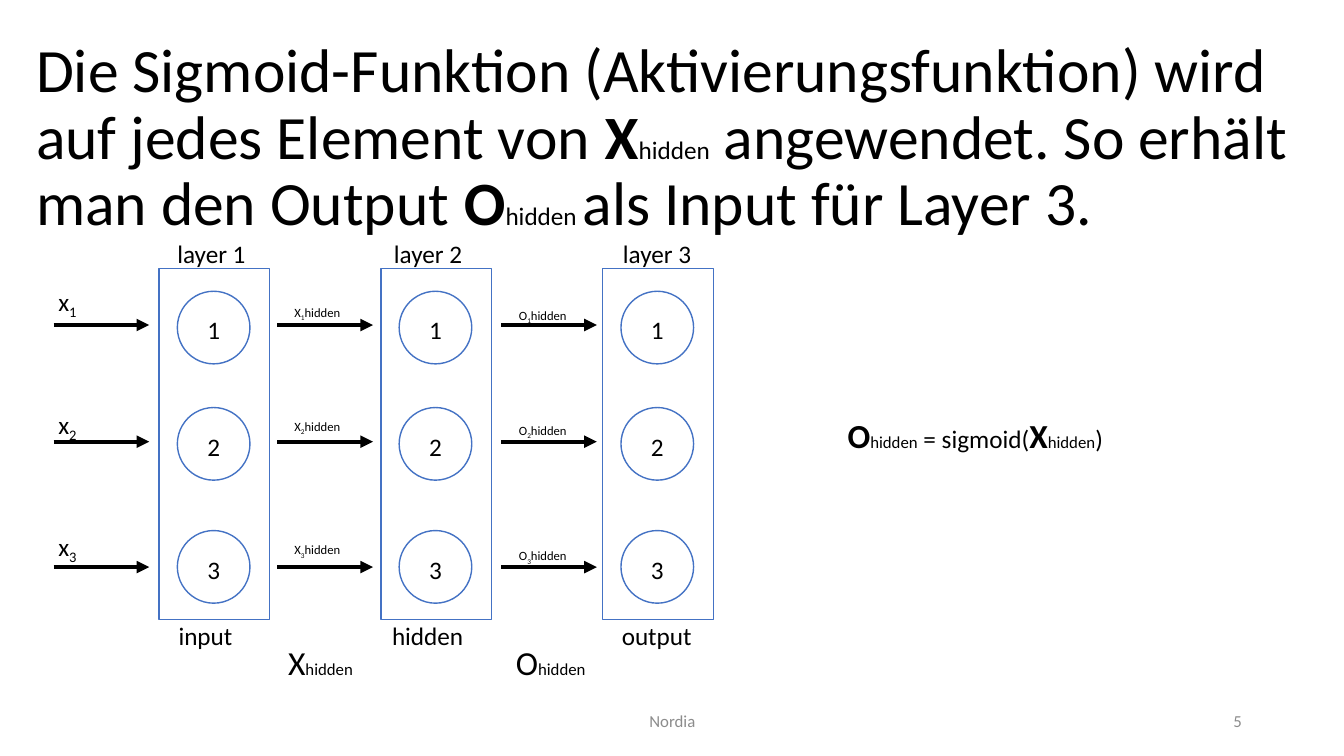
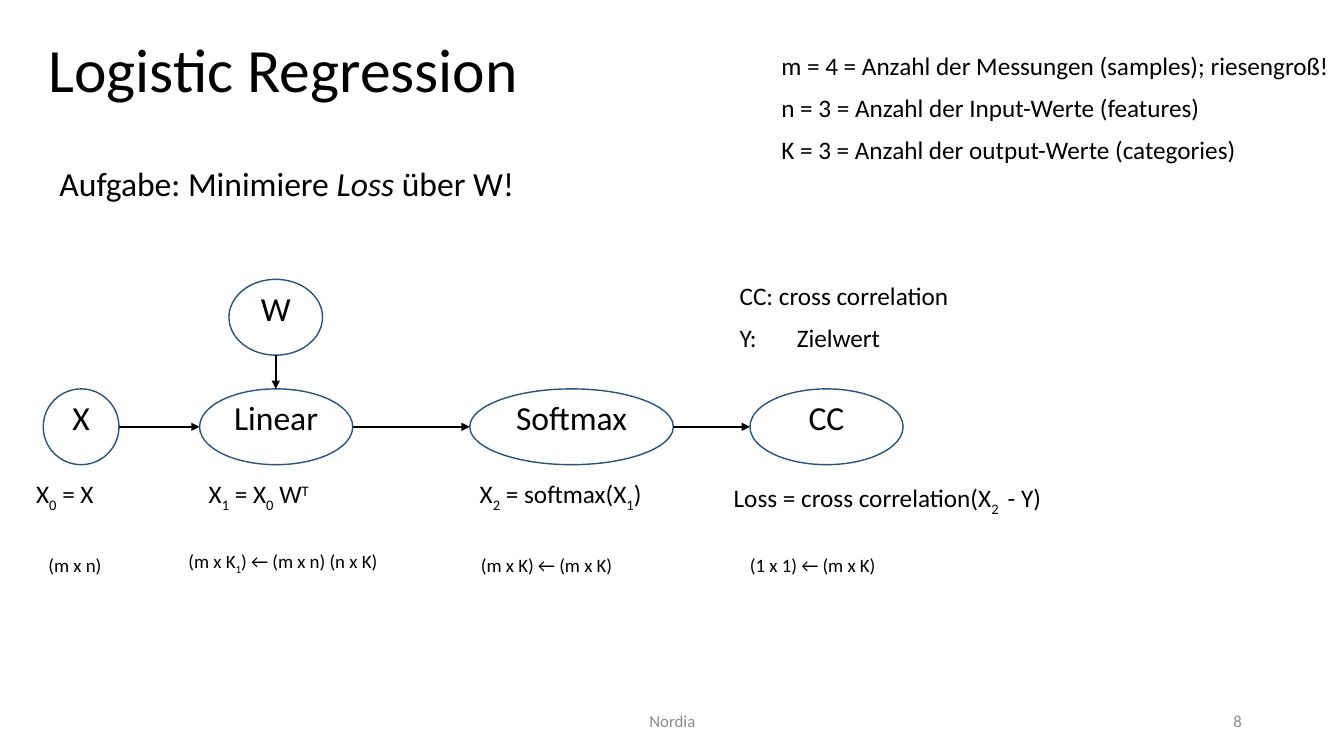
from dataclasses import dataclass
from typing import NamedTuple, Optional

from lxml.etree import SubElement
from pptx import Presentation
from pptx.dml.color import RGBColor
from pptx.enum.shapes import MSO_CONNECTOR_TYPE as Conn, MSO_SHAPE as Shp
from pptx.enum.text import MSO_ANCHOR as Anchor, MSO_AUTO_SIZE as Fit, PP_ALIGN as Align
from pptx.oxml.ns import qn
from pptx.util import Cm, Pt

FONT = "Calibri"
BLACK, GREY, WHITE = "000000", "8C8C8C", "FFFFFF"
BLUE, NAVY = "4472C4", "28537D"
FOOTER = "Nordia"


class Run(NamedTuple):
    text: str
    size: Optional[float] = None
    bold: bool = False
    italic: bool = False
    base: int = 0


Line = list[Run]


@dataclass
class Layer:
    name: str
    name_x: float
    role: str
    role_x: float


@dataclass
class Signal:
    symbol: str
    suffix: str
    size: float
    x: float
    tops: tuple[float, float, float]


@dataclass
class Node:
    name: str
    x: float
    width: float
    y: float = 9.8
    height: float = 1.91


@dataclass
class Note:
    x: float
    y: float
    width: float
    size: float
    lines: list[Line]


LAYERS = [
    Layer("layer 1", 4.47, "input", 4.5),
    Layer("layer 2", 9.93, "hidden", 9.88),
    Layer("layer 3", 15.7, "output", 15.67),
]
SIGNALS = [
    Signal("x", "", 18, 1.47, (7.34, 10.44, 13.51)),
    Signal("X", "hidden", 9, 7.42, (7.37, 10.24, 13.36)),
    Signal("O", "hidden", 9, 13.08, (7.44, 10.34, 13.51)),
]
NEURON_TOPS = (7.34, 10.27, 13.37)
ARROW_YS = (8.19, 11.13, 14.29)
LAYER_X, LAYER_STEP, LAYER_Y, LAYER_W, LAYER_H = 4.01, 5.59, 6.77, 2.79, 8.84
ARROW_X, ARROW_STEP, ARROW_LEN = 1.35, 5.64, 2.41
NEURON, NEURON_DX = 1.83, 0.46

CHAIN = [
    Node("X", 1.09, 1.91),
    Node("Linear", 5.03, 3.86),
    Node("Softmax", 11.84, 5.13),
    Node("CC", 18.9, 3.86),
]
WEIGHTS = Node("W", 5.77, 2.36, y=7.04)


def rgb(color: str) -> RGBColor:
    return RGBColor.from_string(color)


def sub(text: str) -> Run:
    return Run(text, base=-25000)


def add_runs(p, runs: Line, size: float, color: str = BLACK) -> None:
    for run in runs:
        r = p.add_run()
        r.text = run.text
        r.font.name = FONT
        r.font.size = Pt(run.size or size)
        r.font.bold = run.bold
        r.font.italic = run.italic
        r.font.color.rgb = rgb(color)
        if run.base:
            r._r.get_or_add_rPr().set("baseline", str(run.base))


def clear_insets(tf) -> None:
    tf.margin_left = tf.margin_right = tf.margin_top = tf.margin_bottom = 0
    tf.word_wrap = True


def add_text(s, x: float, y: float, width: float, lines: list[Line], size: float = 18):
    tf = s.shapes.add_textbox(Cm(x), Cm(y), Cm(width), Cm(0.75 * len(lines))).text_frame
    clear_insets(tf)
    for i, runs in enumerate(lines):
        p = tf.paragraphs[0] if i == 0 else tf.add_paragraph()
        p.line_spacing = Pt(21)
        p.space_after = Pt(9)
        add_runs(p, runs, size)
    return tf


def add_footer(s, x: float, width: float, text: str, align: Align) -> None:
    tf = s.shapes.add_textbox(Cm(x), Cm(17.65), Cm(width), Cm(1.02)).text_frame
    clear_insets(tf)
    tf.vertical_anchor = Anchor.MIDDLE
    p = tf.paragraphs[0]
    p.alignment = align
    add_runs(p, [Run(text)], 12, GREY)


def add_slide(prs, title: Line, title_x: float, number: int):
    s = prs.slides.add_slide(prs.slide_layouts[5])
    sp = s.shapes.title
    sp.left, sp.top, sp.width, sp.height = Cm(title_x), Cm(0.99), Cm(31.9), Cm(2.54)
    tf = sp.text_frame
    clear_insets(tf)
    tf.auto_size = Fit.NONE
    tf.vertical_anchor = Anchor.TOP
    p = tf.paragraphs[0]
    p.alignment = Align.LEFT
    p.line_spacing = 0.9
    add_runs(p, title, 44)
    add_footer(s, 11.23, 11.43, FOOTER, Align.CENTER)
    add_footer(s, 23.93, 7.37, str(number), Align.RIGHT)
    return s


def add_outline(s, kind: Shp, x: float, y: float, width: float, height: float, color: str):
    sp = s.shapes.add_shape(kind, Cm(x), Cm(y), Cm(width), Cm(height))
    sp.shadow.inherit = False
    sp.fill.background()
    sp.line.color.rgb = rgb(color)
    sp.line.width = Pt(1)
    return sp


def label_shape(sp, text: str, size: float, spacing: float):
    tf = sp.text_frame
    tf.vertical_anchor = Anchor.MIDDLE
    p = tf.paragraphs[0]
    p.alignment = Align.CENTER
    p.line_spacing = Pt(spacing)
    add_runs(p, [Run(text)], size)
    return tf


def add_arrow(s, x1: float, y1: float, x2: float, y2: float, weight: float) -> None:
    c = s.shapes.add_connector(Conn.STRAIGHT, Cm(x1), Cm(y1), Cm(x2), Cm(y2))
    c.line.color.rgb = rgb(BLACK)
    c.line.width = Pt(weight)
    sp_pr = c.element.spPr
    SubElement(sp_pr.find(qn("a:ln")), qn("a:tailEnd"), type="triangle")
    SubElement(sp_pr, qn("a:effectLst"))


def add_layer(s, index: int, layer: Layer) -> None:
    x = LAYER_X + index * LAYER_STEP
    add_outline(s, Shp.RECTANGLE, x, LAYER_Y, LAYER_W, LAYER_H, BLUE)
    for number, top in enumerate(NEURON_TOPS, 1):
        sp = add_outline(s, Shp.OVAL, x + NEURON_DX, top, NEURON, NEURON, BLUE)
        tf = label_shape(sp, str(number), 18, 21)
        clear_insets(tf)
        tf.margin_top = Cm(0.13)
    add_text(s, layer.name_x, 6.02, 2.3, [[Run(layer.name)]])
    add_text(s, layer.role_x, 15.65, 2.3, [[Run(layer.role)]])


def add_signal(s, index: int, signal: Signal) -> None:
    x = ARROW_X + index * ARROW_STEP
    for number, (y, top) in enumerate(zip(ARROW_YS, signal.tops), 1):
        add_arrow(s, x, y, x + ARROW_LEN, y, 3)
        runs = [Run(signal.symbol), sub(str(number))]
        if signal.suffix:
            runs.append(Run(signal.suffix))
        add_text(s, signal.x, top, 1.8, [runs], signal.size)


def add_node(s, node: Node) -> None:
    sp = add_outline(s, Shp.OVAL, node.x, node.y, node.width, node.height, NAVY)
    sp.fill.solid()
    sp.fill.fore_color.rgb = rgb(WHITE)
    label_shape(sp, node.name, 24, 15)


def build_sigmoid(prs) -> None:
    title = [
        Run("Die Sigmoid-Funktion (Aktivierungsfunktion) wird auf jedes Element von "),
        Run("X", bold=True),
        Run("hidden", 18),
        Run(" angewendet. So erhält man den Output "),
        Run("O", bold=True),
        Run("hidden ", 18),
        Run("als Input für Layer 3."),
    ]
    s = add_slide(prs, title, 0.91, 5)
    for i, layer in enumerate(LAYERS):
        add_layer(s, i, layer)
    for i, signal in enumerate(SIGNALS):
        add_signal(s, i, signal)
    for symbol, x in (("X", 7.26), ("O", 13.0)):
        add_text(s, x, 16.46, 2.2, [[Run(symbol, 24), Run("hidden", 12)]])
    formula = [
        Run("O", 24, bold=True),
        Run("hidden", 12),
        Run(" = sigmoid("),
        Run("X", 24, bold=True),
        Run("hidden", 12),
        Run(")"),
    ]
    add_text(s, 21.36, 10.72, 9.37, [formula])


def build_regression(prs) -> None:
    s = add_slide(prs, [Run("Logistic Regression")], 1.22, 8)
    for node in [*CHAIN, WEIGHTS]:
        add_node(s, node)
    for a, b in zip(CHAIN, CHAIN[1:]):
        y = a.y + a.height / 2
        add_arrow(s, a.x + a.width, y, b.x, y, 1.75)
    x = WEIGHTS.x + WEIGHTS.width / 2
    add_arrow(s, x, WEIGHTS.y + WEIGHTS.height, x, CHAIN[1].y, 1.75)

    loss = [Run("Loss = cross correlation(X"), sub("2 "), Run(" - Y)")]
    linear = [Run("X"), sub("1"), Run(" = X"), sub("0"), Run(" W"), Run("T", base=30000)]
    softmax = [Run("X"), sub("2"), Run(" = softmax(X"), sub("1"), Run(")")]
    notes = [
        Note(0.91, 12.19, 2.5, 18, [[Run("X"), sub("0"), Run(" = X")]]),
        Note(5.26, 12.19, 4, 18, [linear]),
        Note(12.09, 12.19, 5, 18, [softmax]),
        Note(18.49, 12.29, 9, 18, [loss]),
        Note(1.22, 13.77, 2.5, 13.5, [[Run("(m x n)")]]),
        Note(4.75, 13.77, 6.38, 13.5, [[Run("(m x K"), sub("1"), Run(") ← (m x n) (n x K)")]]),
        Note(12.12, 13.77, 5.49, 13.5, [[Run("(m x K) ← (m x K)")]]),
        Note(18.9, 13.79, 5.49, 13.5, [[Run("(1 x 1) ← (m x K)")]]),
        Note(1.5, 4.39, 17, 24, [[Run("Aufgabe: Minimiere "), Run("Loss ", italic=True), Run("über W!")]]),
        Note(19.69, 1.3, 14.1, 18, [
            [Run("m = 4 = Anzahl der Messungen (samples); riesengroß!")],
            [Run("n = 3 = Anzahl der Input-Werte (features)")],
            [Run("K = 3 = Anzahl der output-Werte (categories)")],
        ]),
    ]
    for note in notes:
        add_text(s, note.x, note.y, note.width, note.lines, note.size)

    legend = [[Run("CC: cross correlation")], [Run("Y:\tZielwert")]]
    tf = add_text(s, 18.64, 7.09, 6, legend)
    tabs = SubElement(tf.paragraphs[1]._p.get_or_add_pPr(), qn("a:tabLst"))
    SubElement(tabs, qn("a:tab"), pos=str(Cm(1.44)), algn="l")


def main() -> None:
    prs = Presentation()
    prs.slide_width, prs.slide_height = Cm(33.87), Cm(19.05)
    build_sigmoid(prs)
    build_regression(prs)
    prs.save("out.pptx")


if __name__ == "__main__":
    main()
